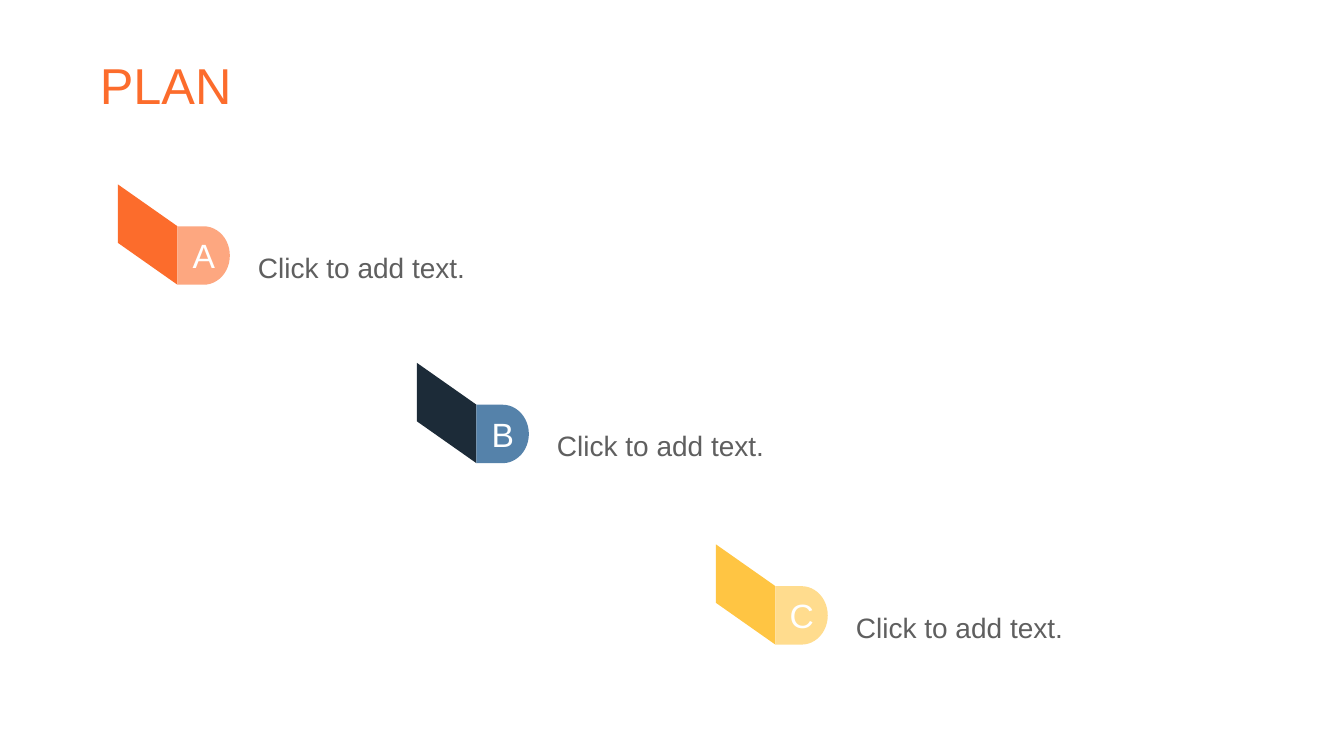
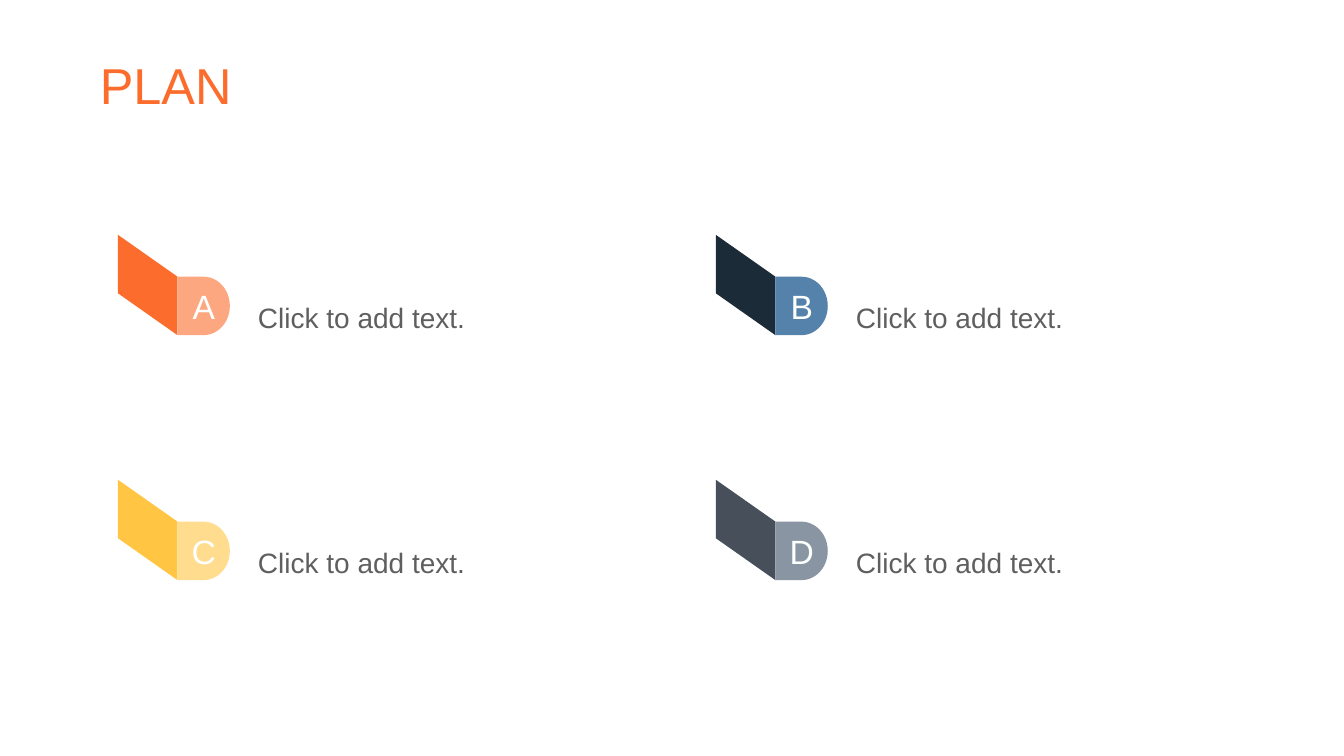
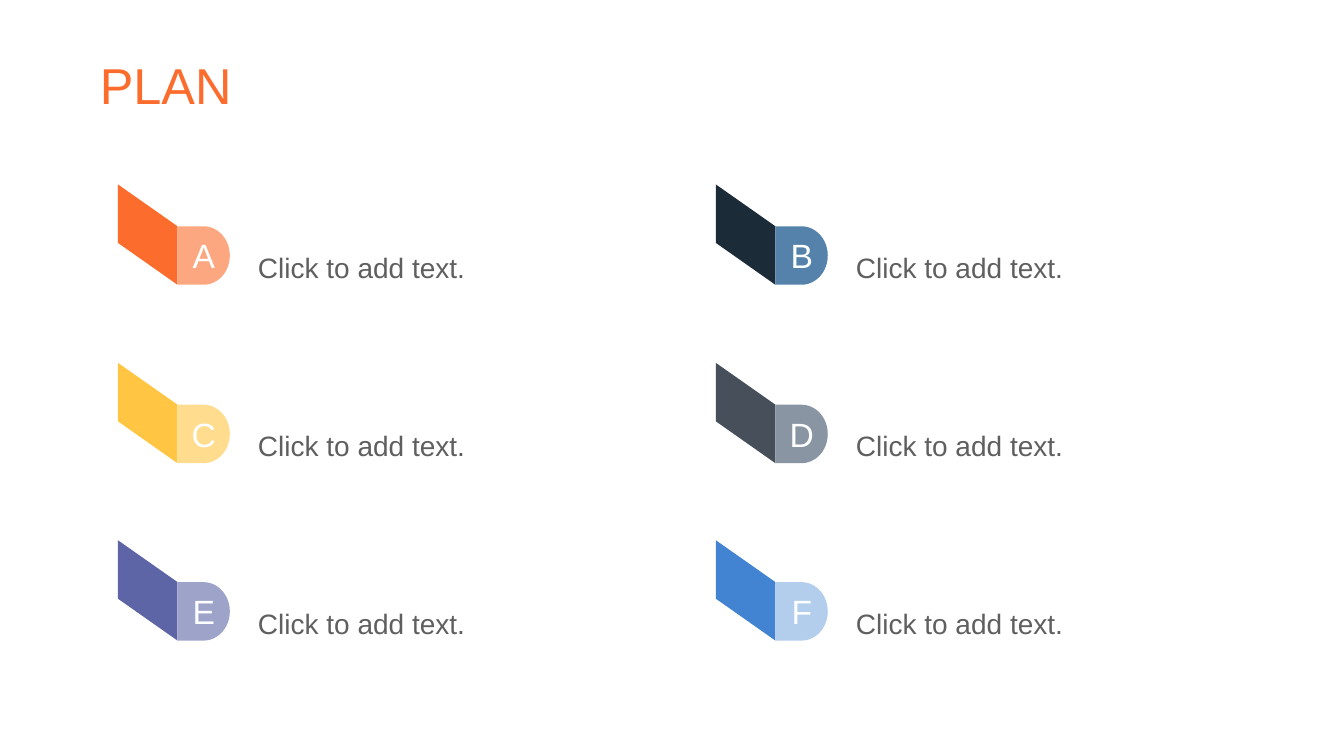
from dataclasses import dataclass
from itertools import product

from pptx import Presentation
from pptx.dml.color import RGBColor
from pptx.enum import shapes, text
from pptx.util import Inches, Pt


@dataclass(frozen=True)
class Theme:
    """Colours, font and type sizes shared by all slides."""

    font: str = "Arial"
    title_size: int = 36
    letter_size: int = 24
    body_size: int = 20
    title: str = "FC6C2C"
    body: str = "5F5F5F"
    letter: str = "FEFFFF"
    ribbons: tuple = (
        ("FC6C2C", "FDA780"),
        ("1C2B38", "5582AA"),
        ("FFC543", "FFDC8E"),
        ("464F5A", "8995A3"),
        ("5E65A6", "9EA3CA"),
        ("4283D2", "B3CDED"),
    )


THEME = Theme()
LEFT, MIDDLE, RIGHT = 1.17, 4.135, 7.1
FOLD_WIDTH, FOLD_DROP = 0.59, 0.415
TAB_WIDTH, TAB_HEIGHT = 0.52, 0.58


def set_text(shape, wording, size, color, alignment, line_spacing=None):
    """Write one vertically centred paragraph in the theme font."""
    frame = shape.text_frame
    frame.text = wording
    frame.word_wrap = True
    frame.vertical_anchor = text.MSO_ANCHOR.MIDDLE
    paragraph = frame.paragraphs[0]
    paragraph.alignment = alignment
    paragraph.line_spacing = line_spacing
    font = paragraph.runs[0].font
    font.name = THEME.font
    font.size = Pt(size)
    font.color.rgb = RGBColor.from_string(color)


def paint(shape, color):
    """Give a shape a flat fill without line or shadow."""
    shape.fill.solid()
    shape.fill.fore_color.rgb = RGBColor.from_string(color)
    shape.line.fill.background()
    shape.shadow.inherit = False


def add_title(slide, wording):
    """Place and format the slide title."""
    title = slide.shapes.title
    title.left, title.top = Inches(0.92), Inches(0.4)
    title.width, title.height = Inches(11.5), Inches(0.94)
    set_text(title, wording, THEME.title_size, THEME.title, text.PP_ALIGN.LEFT, 0.9)
    frame = title.text_frame
    frame.auto_size = text.MSO_AUTO_SIZE.NONE
    frame.margin_left = frame.margin_right = Inches(0.07)
    frame.margin_top = frame.margin_bottom = Inches(0.04)


def add_item(slide, left, top, letter, wording, colors):
    """Add a folded ribbon with its letter and wording at the given corner."""
    group = slide.shapes.add_group_shape().shapes
    fold_color, tab_color = colors
    tab_left, tab_top = left + FOLD_WIDTH, top + FOLD_DROP

    corners = [
        (left, top),
        (tab_left, tab_top),
        (tab_left, tab_top + TAB_HEIGHT),
        (left, top + TAB_HEIGHT),
    ]
    points = [(Inches(x), Inches(y)) for x, y in corners]
    builder = group.build_freeform(*points[0])
    builder.add_line_segments(points[1:], close=True)
    paint(builder.convert_to_shape(), fold_color)

    tab = group.add_shape(
        shapes.MSO_SHAPE.FLOWCHART_DELAY,
        Inches(tab_left), Inches(tab_top), Inches(TAB_WIDTH), Inches(TAB_HEIGHT),
    )
    paint(tab, tab_color)
    set_text(tab, letter, THEME.letter_size, THEME.letter, text.PP_ALIGN.CENTER)
    frame = tab.text_frame
    frame.margin_left = Inches(0.08)
    frame.margin_right = frame.margin_top = frame.margin_bottom = 0

    label = group.add_textbox(
        Inches(left + 1.29), Inches(top + 0.26), Inches(3.77), Inches(0.95)
    )
    set_text(label, wording, THEME.body_size, THEME.body, text.PP_ALIGN.LEFT, 1.5)


def add_plan_slide(presentation, positions):
    """Add a plan slide with one lettered item at each position."""
    slide = presentation.slides.add_slide(presentation.slide_layouts[5])
    add_title(slide, "PLAN")
    for (left, top), letter, colors in zip(positions, "ABCDEF", THEME.ribbons):
        add_item(slide, left, top, letter, "Click to add text.", colors)


def grid(tops):
    """List two-column positions row by row."""
    return [(left, top) for top, left in product(tops, (LEFT, RIGHT))]


def main():
    """Build and save the presentation."""
    presentation = Presentation()
    presentation.slide_width = Inches(13.33)
    presentation.slide_height = Inches(7.5)
    add_plan_slide(presentation, zip((LEFT, MIDDLE, RIGHT), (1.83, 3.6, 5.4)))
    add_plan_slide(presentation, grid((2.33, 4.76)))
    add_plan_slide(presentation, grid((1.83, 3.6, 5.36)))
    presentation.save("out.pptx")


if __name__ == "__main__":
    main()
